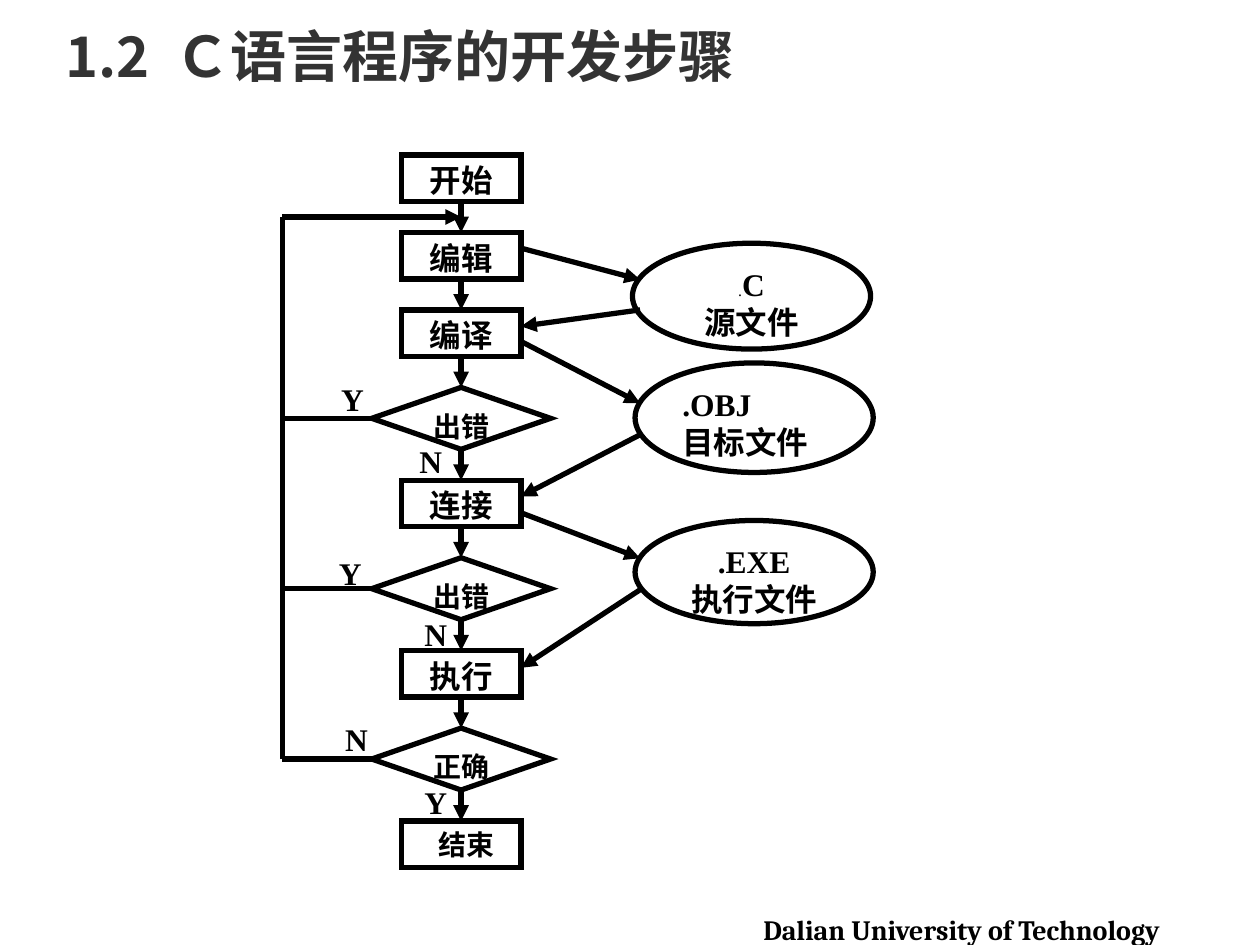
from lxml import etree
from pptx import Presentation
from pptx.dml.color import RGBColor
from pptx.enum import shapes, text
from pptx.oxml import ns
from pptx.util import Pt

COLORS = {"ink": "000000", "title": "333333", "paper": "FFFFFF"}
SERIF, CJK, FOOTER = "Times New Roman", "Noto Sans CJK SC", "Cambria"

UNIT = 17.7  # gap between flow steps; boxes are 1.5 units high, diamonds 2
FLOW_TOP, AXIS, LOOP_X = 88.6, 263.5, 161.3
BOX_W, DIAMOND_W, FILE_W = 68.4, 102.2, 136.1
LOOP_Y = FLOW_TOP + 2 * UNIT
FILE_EDGE = 365.8

FLOW = [("开始", "box"), ("编辑", "box"), ("编译", "box"), ("出错", "diamond"),
        ("连接", "box"), ("出错", "diamond"), ("执行", "box"),
        ("正确", "diamond"), ("结束", "box")]
FILES = [(361.4, 139, 60.5, [".C", "源文件"], text.PP_ALIGN.CENTER),
         (362.9, 207.4, 62.6, [".OBJ", "目标文件"], text.PP_ALIGN.JUSTIFY),
         (362.9, 297.4, 59, [".EXE", "执行文件"], text.PP_ALIGN.CENTER)]
# Height at the flow box, height at the file, whether the step writes the file
FILE_LINKS = [(141.8, 159.8, True), (186.5, 177.1, False),
              (195.1, 230.4, True), (283.7, 248.4, False),
              (293, 319, True), (381.6, 337, False)]
BRANCH_LABELS = [("Y", 187.9, 213.8), ("N", 232.6, 249.1), ("Y", 186.5, 313.2),
                 ("N", 235.4, 347.8), ("N", 190.1, 408.2), ("Y", 235.4, 444.2)]


def color(key):
    return RGBColor.from_string(COLORS[key])


def style_run(run, size, font=SERIF, ink="ink", bold=True):
    run.font.size = Pt(size)
    run.font.bold = bold
    run.font.name = font
    run.font.color.rgb = color(ink)
    latin = run.font._rPr.find(ns.qn("a:latin"))
    east_asian = etree.Element(ns.qn("a:ea"), typeface=CJK)
    latin.addnext(east_asian)


def write(frame, lines, size, align=text.PP_ALIGN.LEFT, font=SERIF, ink="ink"):
    frame.word_wrap = True
    frame.text = "\n".join(lines)
    for paragraph in frame.paragraphs:
        paragraph.alignment = align
        for run in paragraph.runs:
            style_run(run, size, font, ink)


def add_text(slide, left, top, width, height, content, size, **style):
    label = slide.shapes.add_textbox(Pt(left), Pt(top), Pt(width), Pt(height))
    write(label.text_frame, [content], size, **style)
    return label.text_frame


def add_node(slide, kind, left, top, width, height, lines, size,
             align=text.PP_ALIGN.CENTER):
    node = slide.shapes.add_shape(kind, Pt(left), Pt(top), Pt(width), Pt(height))
    node.shadow.inherit = False
    node.fill.solid()
    node.fill.fore_color.rgb = color("paper")
    node.line.color.rgb = color("ink")
    node.line.width = Pt(3)
    etree.SubElement(node.line._get_or_add_ln(), ns.qn("a:miter"), lim="800000")
    node.text_frame.vertical_anchor = text.MSO_ANCHOR.TOP
    write(node.text_frame, lines, size, align)
    return node.text_frame


def add_line(slide, start, end, arrow=True):
    points = [Pt(value) for value in (*start, *end)]
    line = slide.shapes.add_connector(shapes.MSO_CONNECTOR.STRAIGHT, *points)
    line.line.color.rgb = color("ink")
    line.line.width = Pt(3)
    if arrow:
        etree.SubElement(line.line._get_or_add_ln(), ns.qn("a:tailEnd"),
                         type="triangle")
    etree.SubElement(line._element.spPr, ns.qn("a:effectLst"))


def add_title(slide):
    frame = add_text(slide, 30.2, 1.4, 660.2, 60.5, "1.2", 32, font=CJK, ink="title")
    frame.vertical_anchor = text.MSO_ANCHOR.MIDDLE
    paragraph = frame.paragraphs[0]
    for part in (" ", "Ｃ语言程序的开发步骤"):
        run = paragraph.add_run()
        run.text = part
        style_run(run, 32, CJK, "title")
    paragraph.runs[1].font._rPr.set("spc", "700")  # widens the gap after the number


def add_flow(slide):
    """Stack the steps down the axis, with the loop-back branches on the left."""
    top = FLOW_TOP
    for index, (name, kind) in enumerate(FLOW):
        is_last = index == len(FLOW) - 1
        if kind == "box":
            height = 1.5 * UNIT
            frame = add_node(slide, shapes.MSO_SHAPE.RECTANGLE, AXIS - BOX_W / 2, top,
                             BOX_W, height, [name], 16 if is_last else 18)
            if is_last:
                ending = frame.paragraphs[0]
                ending.alignment = text.PP_ALIGN.LEFT
                ending._p.get_or_add_pPr().set("marL", str(Pt(14.4)))
        else:
            height = 2 * UNIT
            left, middle = AXIS - DIAMOND_W / 2, top + UNIT
            add_node(slide, shapes.MSO_SHAPE.DIAMOND, left, top,
                     DIAMOND_W, height, [name], 16)
            add_line(slide, (left, middle), (LOOP_X, middle), arrow=False)
            loop_bottom = middle
        if not is_last:
            add_line(slide, (AXIS, top + height), (AXIS, top + height + UNIT))
        top += height + UNIT
    add_line(slide, (LOOP_X, loop_bottom), (LOOP_X, LOOP_Y), arrow=False)
    add_line(slide, (LOOP_X, LOOP_Y), (AXIS, LOOP_Y))


def add_files(slide):
    frames = [add_node(slide, shapes.MSO_SHAPE.OVAL, left, top, FILE_W, height,
                       lines, 18, align)
              for left, top, height, lines, align in FILES]
    source_name = frames[0].paragraphs[0]
    source_name.runs[0].text = "."
    source_name.runs[0].font.size = Pt(9)
    source_name.runs[0].font.bold = False
    extension = source_name.add_run()
    extension.text = "C"
    style_run(extension, 18)

    for box_y, file_y, writes in FILE_LINKS:
        ends = [(AXIS + BOX_W / 2, box_y), (FILE_EDGE, file_y)]
        add_line(slide, *(ends if writes else reversed(ends)))


def main():
    deck = Presentation()
    deck.slide_width, deck.slide_height = Pt(720), Pt(540)
    slide = deck.slides.add_slide(deck.slide_layouts[6])
    add_text(slide, 429.1, 517.7, 272.9, 26.6, "Dalian University of Technology",
             16, font=FOOTER)
    add_title(slide)
    add_flow(slide)
    add_files(slide)
    for answer, left, top in BRANCH_LABELS:
        add_text(slide, left, top, 28.1, 28.8, answer, 18)
    deck.save("out.pptx")


if __name__ == "__main__":
    main()
